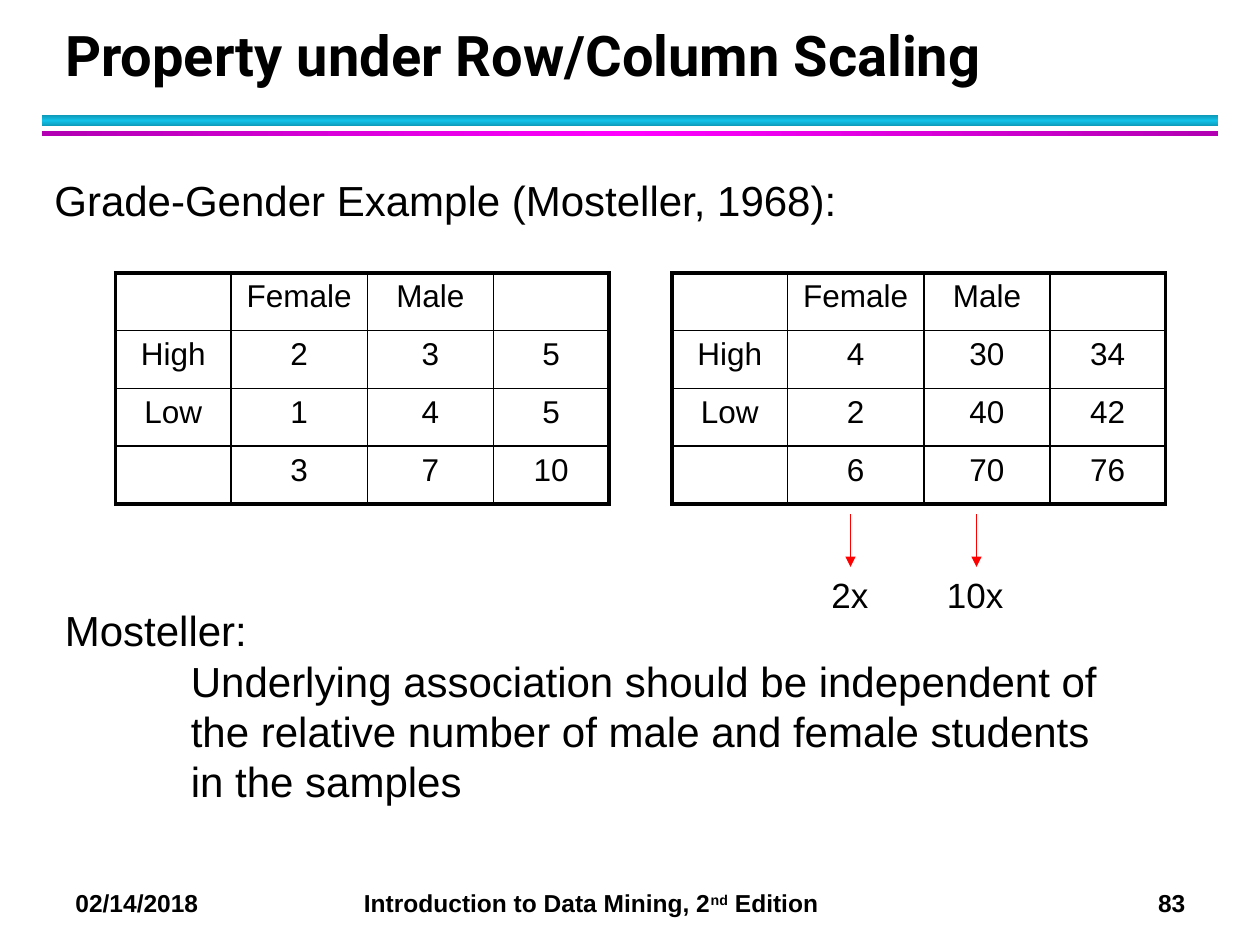
from copy import deepcopy

from lxml import etree
from pptx import Presentation
from pptx.dml.color import RGBColor
from pptx.enum.shapes import MSO_CONNECTOR, MSO_SHAPE
from pptx.enum.text import MSO_ANCHOR, PP_ALIGN
from pptx.oxml.ns import qn
from pptx.util import Inches, Pt

BLACK = RGBColor(0x00, 0x00, 0x00)
RED = RGBColor(0xFF, 0x00, 0x00)
TEAL = RGBColor(0x0E, 0x9B, 0xBA)
CYAN = RGBColor(0x12, 0xC2, 0xE9)
PURPLE = RGBColor(0xB2, 0x00, 0xB2)
MAGENTA = RGBColor(0xFF, 0x00, 0xFF)

RECTANGLE = MSO_SHAPE.RECTANGLE
STRAIGHT = MSO_CONNECTOR.STRAIGHT
TOP, BOTTOM = MSO_ANCHOR.TOP, MSO_ANCHOR.BOTTOM
LEFT, CENTER = PP_ALIGN.LEFT, PP_ALIGN.CENTER

UNITS_PER_INCH = 12
TITLE_ONLY = 5
COLUMN_WIDTHS = (11, 13, 12, 11)
ROW_HEIGHT = 5.5
TABLE_TOP = 26
THIN, THICK = 1, 2.25

ORIGINAL_GRADES = (
    ("", "Female", "Male", ""),
    ("High", "2", "3", "5"),
    ("Low", "1", "4", "5"),
    ("", "3", "7", "10"),
)
SCALED_GRADES = (
    ("", "Female", "Male", ""),
    ("High", "4", "30", "34"),
    ("Low", "2", "40", "42"),
    ("", "6", "70", "76"),
)
CONCLUSION = (
    "Mosteller:\n"
    "Underlying association should be independent of\n"
    "the relative number of male and female students\n"
    "in the samples"
)


def grid(*units):
    return [Inches(unit / UNITS_PER_INCH) for unit in units]


def write(paragraph, text, size=24, font="Arial", bold=False,
          align=LEFT, superscript=False):
    paragraph.alignment = align
    for number, line in enumerate(text.split("\n")):
        if number:
            paragraph.add_line_break()
        run = paragraph.add_run()
        run.text = line
        run.font.size = Pt(size)
        run.font.name = font
        run.font.bold = bold
        run.font.color.rgb = BLACK
        if superscript:
            run.font._element.set("baseline", "30000")


def add_box(slide, *position):
    frame = slide.shapes.add_textbox(*grid(*position)).text_frame
    frame.word_wrap = True
    return frame.paragraphs[0]


def add_title(slide, text):
    title = slide.shapes.title
    title.left, title.top, title.width, title.height = grid(5, 2, 108.7, 7)
    frame = title.text_frame
    frame.vertical_anchor = BOTTOM
    frame.paragraphs[0].line_spacing = Pt(36)
    write(frame.paragraphs[0], text, size=32, font="Roboto", bold=True)


def add_rule(slide, top, height, edge, middle, angle):
    rule = slide.shapes.add_shape(RECTANGLE, *grid(4, top, 112, height))
    rule.shadow.inherit = False
    rule.line.fill.background()
    rule.fill.gradient()
    rule.fill.gradient_angle = angle
    stops = rule._element.spPr.find(qn("a:gradFill")).find(qn("a:gsLst"))
    stops.insert(1, deepcopy(stops[0]))
    for stop, color, share in zip(rule.fill.gradient_stops,
                                  (edge, middle, edge), (0, 0.5, 1)):
        stop.color.rgb = color
        stop.position = share


def set_borders(cell, widths):
    properties = cell._tc.get_or_add_tcPr()
    for order, (side, width) in enumerate(zip("LRTB", widths)):
        border = etree.Element(qn(f"a:ln{side}"), w=str(Pt(width)))
        fill = etree.SubElement(border, qn("a:solidFill"))
        etree.SubElement(fill, qn("a:srgbClr"), val=str(BLACK))
        properties.insert(order, border)


def add_grades(slide, left, grades):
    rows, columns = len(grades), len(COLUMN_WIDTHS)
    table = slide.shapes.add_table(
        rows, columns,
        *grid(left, TABLE_TOP, sum(COLUMN_WIDTHS), rows * ROW_HEIGHT)).table
    table.first_row = table.horz_banding = False
    for column, width in zip(table.columns, grid(*COLUMN_WIDTHS)):
        column.width = width
    for r, values in enumerate(grades):
        table.rows[r].height = grid(ROW_HEIGHT)[0]
        for c, value in enumerate(values):
            cell = table.cell(r, c)
            cell.fill.background()
            cell.vertical_anchor = TOP
            if value:
                write(cell.text_frame.paragraphs[0], value, size=18, align=CENTER)
            outer = (c == 0, c == columns - 1, r == 0, r == rows - 1)
            set_borders(cell, [THICK if edge else THIN for edge in outer])


def add_factor(slide, arrow_x, label_left, factor):
    arrow = slide.shapes.add_connector(STRAIGHT, *grid(arrow_x, 49, arrow_x, 54))
    arrow.line.color.rgb = RED
    arrow.line.width = Pt(1)
    etree.SubElement(arrow.line._get_or_add_ln(), qn("a:tailEnd"), type="triangle")
    etree.SubElement(arrow._element.spPr, qn("a:effectLst"))
    write(add_box(slide, label_left, 54, 8, 5), factor, size=20)


def add_conclusion(slide):
    conclusion = add_box(slide, 5, 57, 101, 20.4)
    properties = conclusion._p.get_or_add_pPr()
    properties.set("marL", str(Inches(1)))
    properties.set("indent", str(-Inches(1)))
    write(conclusion, CONCLUSION)


def add_footer(slide):
    footer = add_box(slide, 6, 84, 112, 4)
    tabs = etree.SubElement(footer._p.get_or_add_pPr(), qn("a:tabLst"))
    for position, side in ((2.29, "l"), (8.81, "r")):
        etree.SubElement(tabs, qn("a:tab"), pos=str(Inches(position)), algn=side)
    write(footer, "02/14/2018\tIntroduction to Data Mining, 2", size=14, bold=True)
    write(footer, "nd", size=14, bold=True, superscript=True)
    write(footer, " Edition\t83", size=14, bold=True)


def main():
    deck = Presentation()
    deck.slide_width, deck.slide_height = Inches(10), Inches(7.5)
    slide = deck.slides.add_slide(deck.slide_layouts[TITLE_ONLY])
    add_rule(slide, 11, 1, TEAL, CYAN, 90)
    add_rule(slide, 12.5, 0.5, PURPLE, MAGENTA, 0)
    add_footer(slide)
    add_title(slide, "Property under Row/Column Scaling")
    add_grades(slide, 11, ORIGINAL_GRADES)
    add_grades(slide, 64, SCALED_GRADES)
    write(add_box(slide, 4, 16, 101, 6), "Grade-Gender Example (Mosteller, 1968):")
    add_conclusion(slide)
    add_factor(slide, 81, 78, "2x")
    add_factor(slide, 93, 89, "10x")
    deck.save("out.pptx")


if __name__ == "__main__":
    main()
